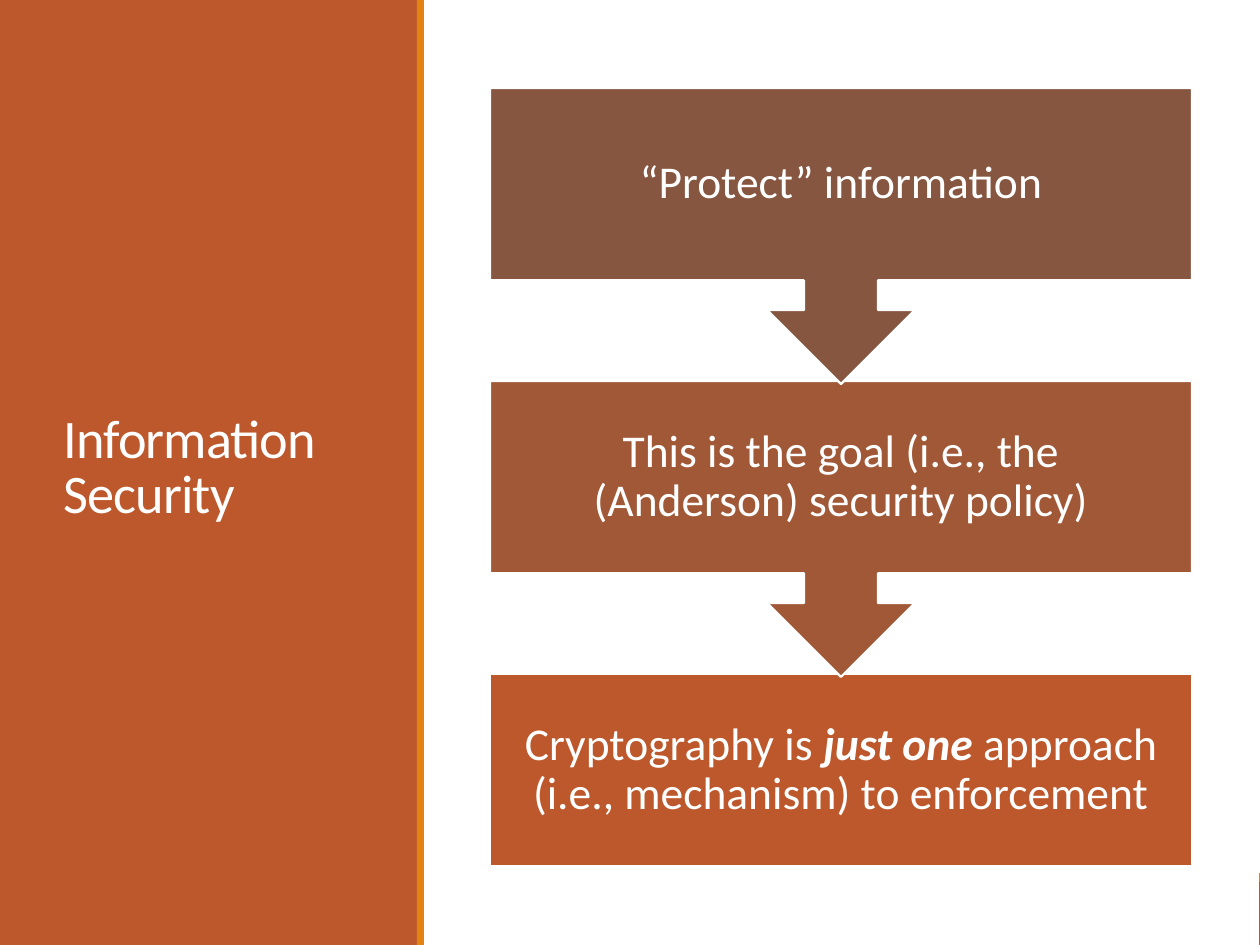
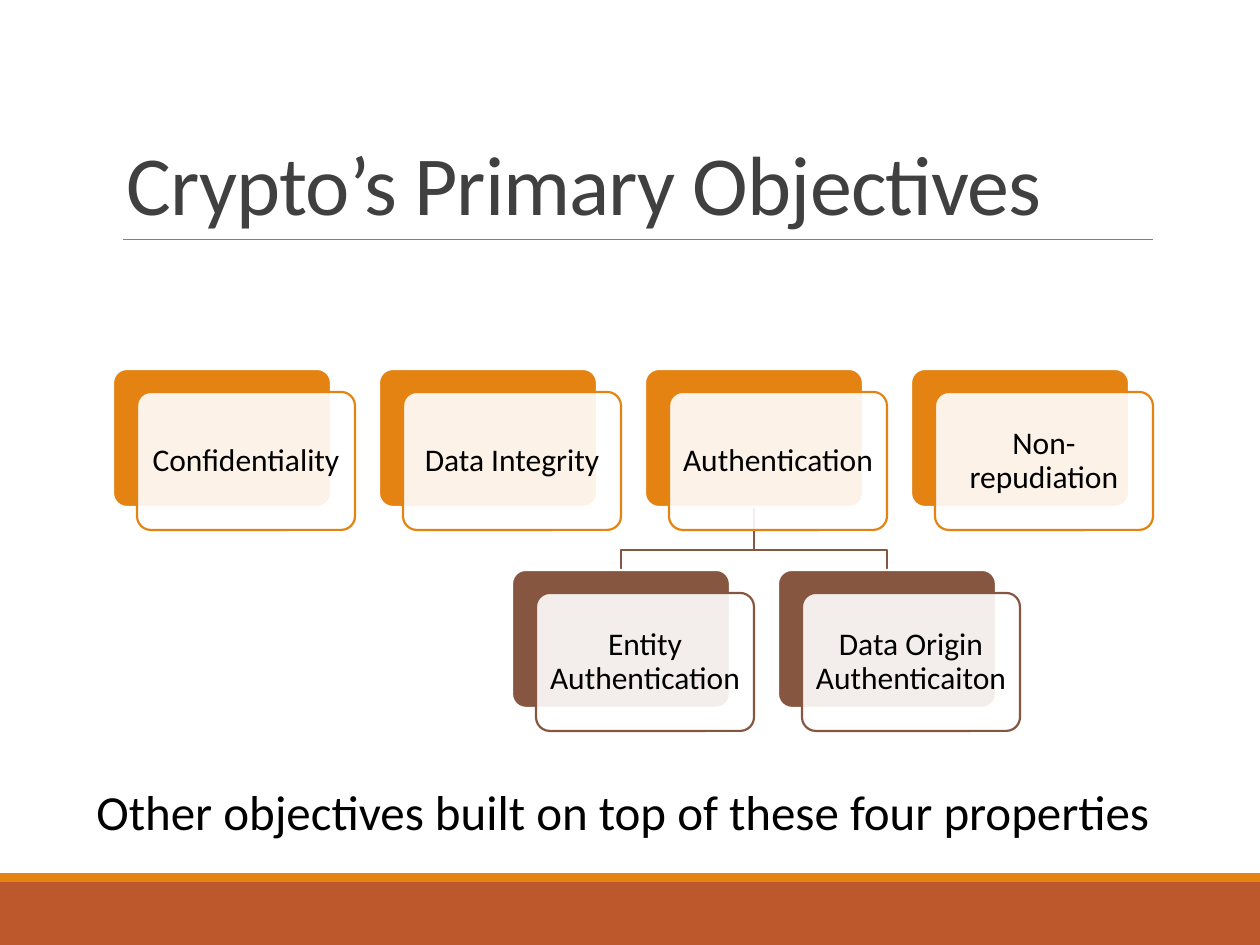
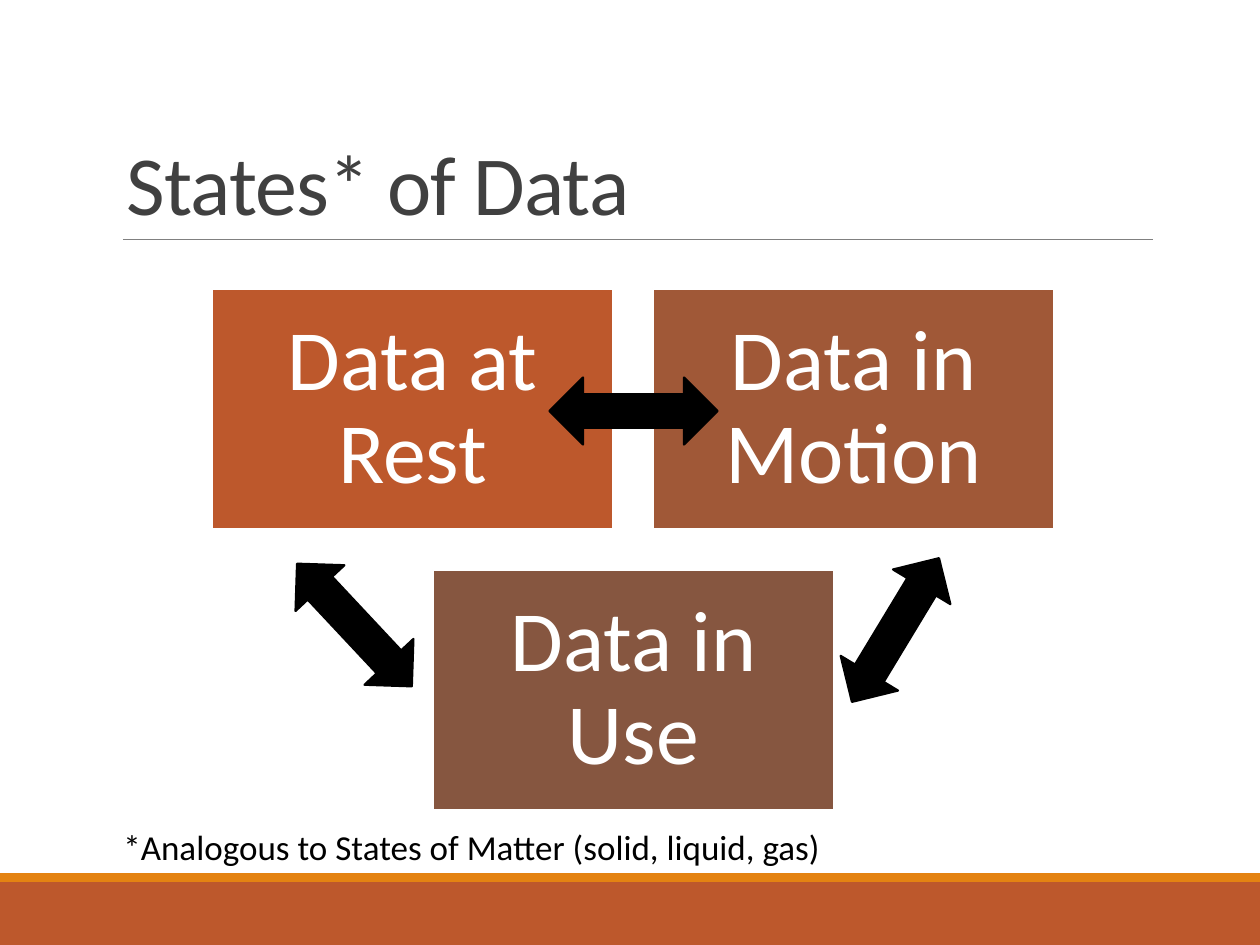
import pptx
import pptx.util
import pptx.dml.color
import pptx.enum.shapes
import pptx.enum.text
import pptx.oxml.ns
from lxml import etree

PX = pptx.util.Inches(1) / 126
FONT = "Calibri"
RUST, SIENNA, BROWN, ORANGE = "BD582C", "A05837", "865640", "E48312"
WHITE, BLACK, DARK, GREY = "FFFFFF", "000000", "404040", "808080"

rgb = pptx.dml.color.RGBColor.from_string
qn = pptx.oxml.ns.qn
MSO = pptx.enum.shapes.MSO_SHAPE
ALIGN = pptx.enum.text.PP_ALIGN
ANCHOR = pptx.enum.text.MSO_ANCHOR


def add_shape(s, kind, box, fill, line=None):
    sp = s.shapes.add_shape(kind, *[round(v * PX) for v in box])
    sp.shadow.inherit = False
    sp.fill.solid()
    sp.fill.fore_color.rgb = rgb(fill)
    if line:
        sp.line.color.rgb = rgb(line)
        sp.line.width = pptx.util.Pt(1.25)
    else:
        sp.line.fill.background()
    return sp


def write(sp, runs, size, color, inset=None, spacing=0.9, align=ALIGN.CENTER,
          anchor=ANCHOR.MIDDLE, wrap=True, tracking=None):
    tf = sp.text_frame
    tf.auto_size = pptx.enum.text.MSO_AUTO_SIZE.NONE
    tf.word_wrap = wrap
    tf.vertical_anchor = anchor
    if inset is not None:
        for side in ("left", "top", "right", "bottom"):
            setattr(tf, "margin_" + side, round(inset * PX))
    p = tf.paragraphs[0]
    p.alignment = align
    p.line_spacing = spacing
    for text, strong in runs:
        r = p.add_run()
        r.text = text
        look = {"name": FONT, "size": pptx.util.Pt(size), "bold": strong, "italic": strong}
        for name, value in look.items():
            setattr(r.font, name, value)
        r.font.color.rgb = rgb(color)
        if tracking:
            r._r.get_or_add_rPr().set("spc", str(tracking))


prs = pptx.Presentation()
prs.slide_width = pptx.util.Inches(10)
prs.slide_height = pptx.util.Inches(7.5)

# Titles and footer bands of all slides, and the rule of the two plain ones
PANEL_TITLE = ((51, 72, 319, 795), 31, WHITE, ANCHOR.MIDDLE)
PLAIN_TITLE = ((114, 39, 1039, 200), 48, DARK, ANCHOR.BOTTOM)
slides = []
for title, (box, size, color, anchor) in [
    ("Information Security", PANEL_TITLE),
    ("Crypto’s Primary Objectives", PLAIN_TITLE),
    ("States* of Data", PLAIN_TITLE),
]:
    s = prs.slides.add_slide(prs.slide_layouts[5])
    slides.append(s)
    sp = s.shapes.title
    for name, value in zip(("left", "top", "width", "height"), box):
        setattr(sp, name, round(value * PX))
    write(sp, [(title, False)], size, color, spacing=0.85, align=ALIGN.LEFT,
          anchor=anchor, tracking=-50)
    add_shape(s, MSO.RECTANGLE, (0, 882, 1260, 63), RUST)
    add_shape(s, MSO.RECTANGLE, (0, 873, 1260, 9), ORANGE)
    if anchor == ANCHOR.BOTTOM:
        rule = s.shapes.add_connector(pptx.enum.shapes.MSO_CONNECTOR.STRAIGHT,
                                      *[round(v * PX) for v in (123, 239, 1153, 239)])
        rule.line.color.rgb = rgb(GREY)
        rule.line.width = pptx.util.Pt(0.5)
        etree.SubElement(rule.element.spPr, qn("a:effectLst"))

# Slide 1: white ground and side panel behind the title
s = slides[0]
add_shape(s, MSO.RECTANGLE, (0, 0, 1259, 945), WHITE)
add_shape(s, MSO.RECTANGLE, (0, 0, 418, 945), RUST)
s.shapes.element.append(s.shapes.title.element)
add_shape(s, MSO.RECTANGLE, (417, 0, 7, 945), ORANGE)

# Steps, from the bottom up so that each arrow tip lies on the next box
steps = [
    (MSO.DOWN_ARROW_CALLOUT, 296, BROWN, [("“Protect” information", False)]),
    (MSO.DOWN_ARROW_CALLOUT, 296, SIENNA,
     [("This is the goal (i.e., the (Anderson) security policy)", False)]),
    (MSO.RECTANGLE, 192, RUST,
     [("Cryptography is ", False), ("just one", True),
      (" approach (i.e., mechanism) to enforcement", False)]),
]
for i, (kind, height, fill, runs) in reversed(list(enumerate(steps))):
    sp = add_shape(s, kind, (490, 88 + 293 * i, 702, height), fill, WHITE)
    write(sp, runs, 26, WHITE, inset=30)

# Slide 2: branches from Authentication to its two kinds
s = slides[1]
for x in (887, 621):
    branch = s.shapes.build_freeform(754, 507, scale=PX)
    branch.add_line_segments([(754, 550), (x, 550), (x, 570)], close=False)
    sp = branch.convert_to_shape()
    sp.shadow.inherit = False
    sp.fill.background()
    sp.line.color.rgb = rgb(BROWN)
    sp.line.width = pptx.util.Pt(1.25)

# Objective cards: a coloured back and a translucent front
card_rows = [
    (113, 369, ORANGE, ["Confidentiality", "Data Integrity", "Authentication",
                        "Non-repudiation"]),
    (512, 570, BROWN, ["Entity Authentication", "Data Origin Authenticaiton"]),
]
for left, top, color, labels in card_rows:
    for i, label in enumerate(labels):
        x = left + 266 * i
        back = add_shape(s, MSO.ROUNDED_RECTANGLE, (x, top, 218, 138), color, WHITE)
        front = add_shape(s, MSO.ROUNDED_RECTANGLE, (x + 24, top + 23, 218, 138), WHITE, color)
        for sp in (back, front):
            sp.adjustments[0] = 0.1
        tint = front.fill.fore_color._xFill.find(qn("a:srgbClr"))
        etree.SubElement(tint, qn("a:alpha"), val="90000")
        write(front, [(label, False)], 18, BLACK, inset=8)

# Slide 3: three states
s = slides[2]
for x, y, fill, label in [
    (212, 289, RUST, "Data at Rest"),
    (653, 289, SIENNA, "Data in Motion"),
    (433, 570, BROWN, "Data in Use"),
]:
    sp = add_shape(s, MSO.RECTANGLE, (x, y, 401, 240), fill, WHITE)
    write(sp, [(label, False)], 49, WHITE, inset=25)

# Two-way arrows between the states
for x, y, angle in [(321, 541, 316.9), (862, 546, 31.2), (600, 327, 90)]:
    sp = add_shape(s, MSO.UP_DOWN_ARROW, (x, y, 67, 168), BLACK, BLACK)
    sp.rotation = angle

# Closing lines of slides 2 and 3
for s, box, size, text in [
    (slides[1], (84, 775, 1091, 72), 28,
     "Other objectives built on top of these four properties"),
    (slides[2], (111, 819, 730, 55), 20,
     "*Analogous to States of Matter (solid, liquid, gas)"),
]:
    sp = s.shapes.add_textbox(*[round(v * PX) for v in box])
    write(sp, [(text, False)], size, BLACK, spacing=1.0, align=ALIGN.LEFT,
          anchor=ANCHOR.TOP, wrap=False)

prs.save("out.pptx")
